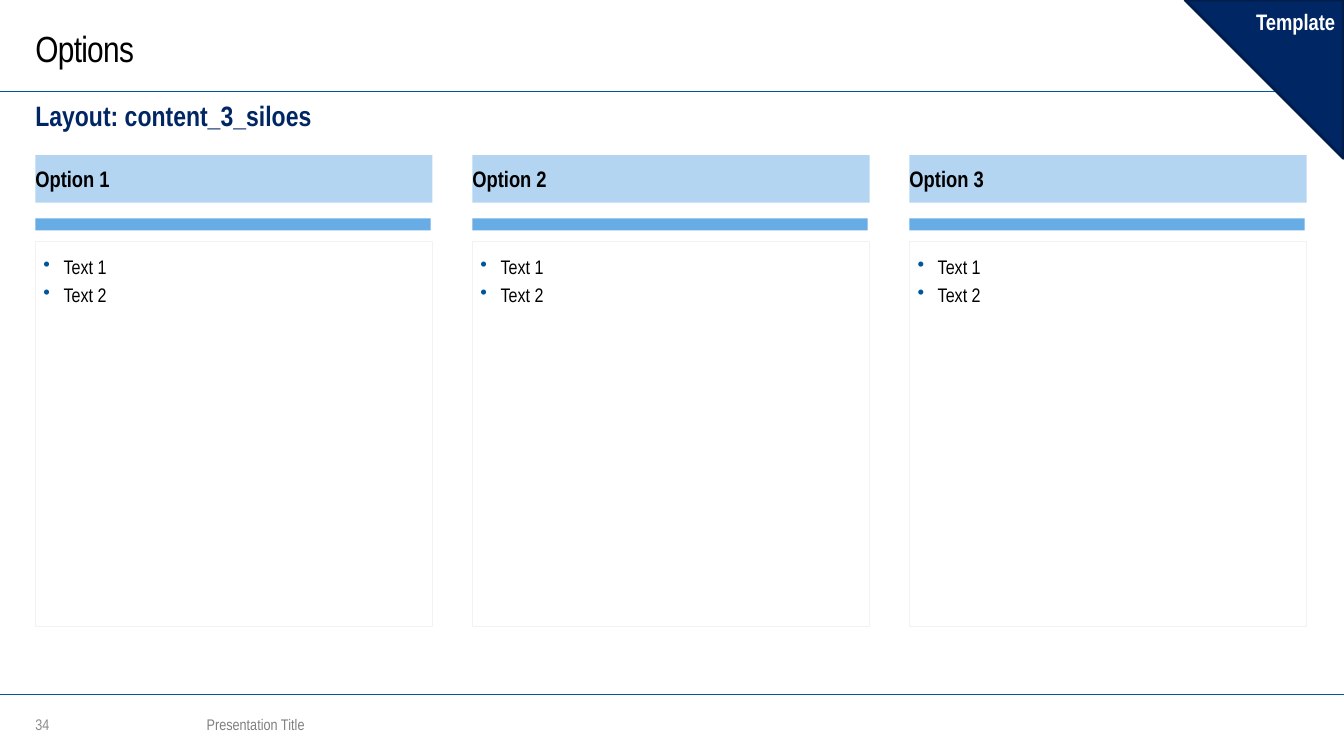
import pptx
import pptx.dml.color
import pptx.enum.shapes
import pptx.enum.text
import pptx.oxml
import pptx.oxml.ns
import pptx.util

SHAPES = pptx.enum.shapes.MSO_SHAPE
ANCHORS = pptx.enum.text.MSO_ANCHOR
NAVY, BLUE, SKY, PALE = "002663", "00559B", "68ACE5", "B3D5F2"
BLACK, WHITE = "000000", "FFFFFF"


def colour(value):
    return pptx.dml.color.RGBColor.from_string(value)


class SlideBuilder:
    font = "Arial Narrow"

    def __init__(self, deck):
        self.width, self.height = deck.slide_width, deck.slide_height
        self.page = deck.slides.add_slide(deck.slide_layouts[6])

    def area(self, left, top, width, height):
        return (round(self.width * left / 100), round(self.height * top / 100),
                round(self.width * width / 100), round(self.height * height / 100))

    def rule(self, top):
        left, level, right, _ = self.area(0, top, 100, 0)
        line = self.page.shapes.add_connector(
            pptx.enum.shapes.MSO_CONNECTOR.STRAIGHT, left, level, right, level)
        line.line.color.rgb = colour(BLUE)
        line.line.width = pptx.util.Pt(1)
        properties = line._element.spPr
        properties.append(pptx.oxml.parse_xml(
            f'<a:effectLst {pptx.oxml.ns.nsdecls("a")}/>'))

    def shape(self, area, fill=None, outline=None, weight=0.75, kind=SHAPES.RECTANGLE):
        box = self.page.shapes.add_shape(kind, *self.area(*area))
        box.shadow.inherit = False
        if fill:
            box.fill.solid()
            box.fill.fore_color.rgb = colour(fill)
        else:
            box.fill.background()
        if outline:
            box.line.color.rgb = colour(outline)
            box.line.width = pptx.util.Pt(weight)
        else:
            box.line.fill.background()
        return box

    def set_text(self, box, text, size, ink=BLACK, bold=False, anchor=ANCHORS.MIDDLE,
                 insets=(0, 0, 0, 0), align=pptx.enum.text.PP_ALIGN.LEFT):
        frame = box.text_frame
        frame.text = text
        frame.word_wrap = True
        frame.vertical_anchor = anchor
        (frame.margin_left, frame.margin_top,
         frame.margin_right, frame.margin_bottom) = map(pptx.util.Inches, insets)
        for para in frame.paragraphs:
            para.alignment = align
            for span in para.runs:
                span.font.name = self.font
                span.font.size = pptx.util.Pt(size)
                span.font.bold = bold
                span.font.color.rgb = colour(ink)
        return frame

    def label(self, area, text, size, **style):
        box = self.page.shapes.add_textbox(*self.area(*area))
        return self.set_text(box, text, size, **style)

    def bullets(self, area, items):
        box = self.shape(area, outline="F2F2F2")
        frame = self.set_text(box, "\n".join(items), 14, anchor=ANCHORS.TOP,
                              insets=(0.08, 0.08, 0, 0))
        indent = pptx.util.Inches(0.2)
        namespace = pptx.oxml.ns.nsdecls("a")
        for para in frame.paragraphs:
            properties = para._p.get_or_add_pPr()
            properties.set("marL", str(indent))
            properties.set("indent", str(-indent))
            properties.append(pptx.oxml.parse_xml(
                f'<a:buClr {namespace}><a:srgbClr val="{BLUE}"/></a:buClr>'))
            properties.append(pptx.oxml.parse_xml(f'<a:buChar {namespace} char="•"/>'))
            para.line_spacing = 1.2

    def corner(self, area, text):
        box = self.shape(area, NAVY, "001C49", 2, SHAPES.ISOSCELES_TRIANGLE)
        box.adjustments[0] = 1
        box.rotation = 270
        frame = self.set_text(box, text, 16, ink=WHITE, bold=True, anchor=ANCHORS.TOP,
                              insets=(0.08,) * 4, align=pptx.enum.text.PP_ALIGN.RIGHT)
        frame.word_wrap = False
        frame._txBody.bodyPr.set("vert", "vert")


def main():
    deck = pptx.Presentation()
    deck.slide_width = pptx.util.Inches(13.33)
    deck.slide_height = pptx.util.Inches(7.5)
    builder = SlideBuilder(deck)
    margin, column, pitch = 2.63, 29.55, 32.52

    for top in (91.87, 12.13):
        builder.rule(top)

    title = builder.label((margin, 0.53, 72.92, 11.6), "Options", 26)
    title.paragraphs[0].runs[0].font._element.set("spc", "-50")
    builder.label((margin, 94, 2.78, 3.73), "34", 11, ink="8C8C8C")
    builder.label((15.38, 94, 51.16, 3.73), "Presentation Title", 11, ink="808080")
    subtitle = builder.label((margin, 13.07, 94.52, 4.53), "Layout: content_3_siloes", 20,
                             ink=NAVY, bold=True, anchor=ANCHORS.TOP)
    subtitle.auto_size = pptx.enum.text.MSO_AUTO_SIZE.SHAPE_TO_FIT_TEXT

    for index, heading in enumerate(("Option 1", "Option 2", "Option 3")):
        left = margin + index * pitch
        header = builder.shape((left, 20.53, column, 6.27), PALE)
        builder.set_text(header, heading, 16, bold=True)
        builder.shape((left, 28.87, 29.41, 1.6), SKY)
        builder.bullets((left, 32, column, 50.93), ("Text 1", "Text 2"))

    builder.corner((88.17, 0, 11.78, 20.93), "Template")
    deck.save("out.pptx")


if __name__ == "__main__":
    main()
